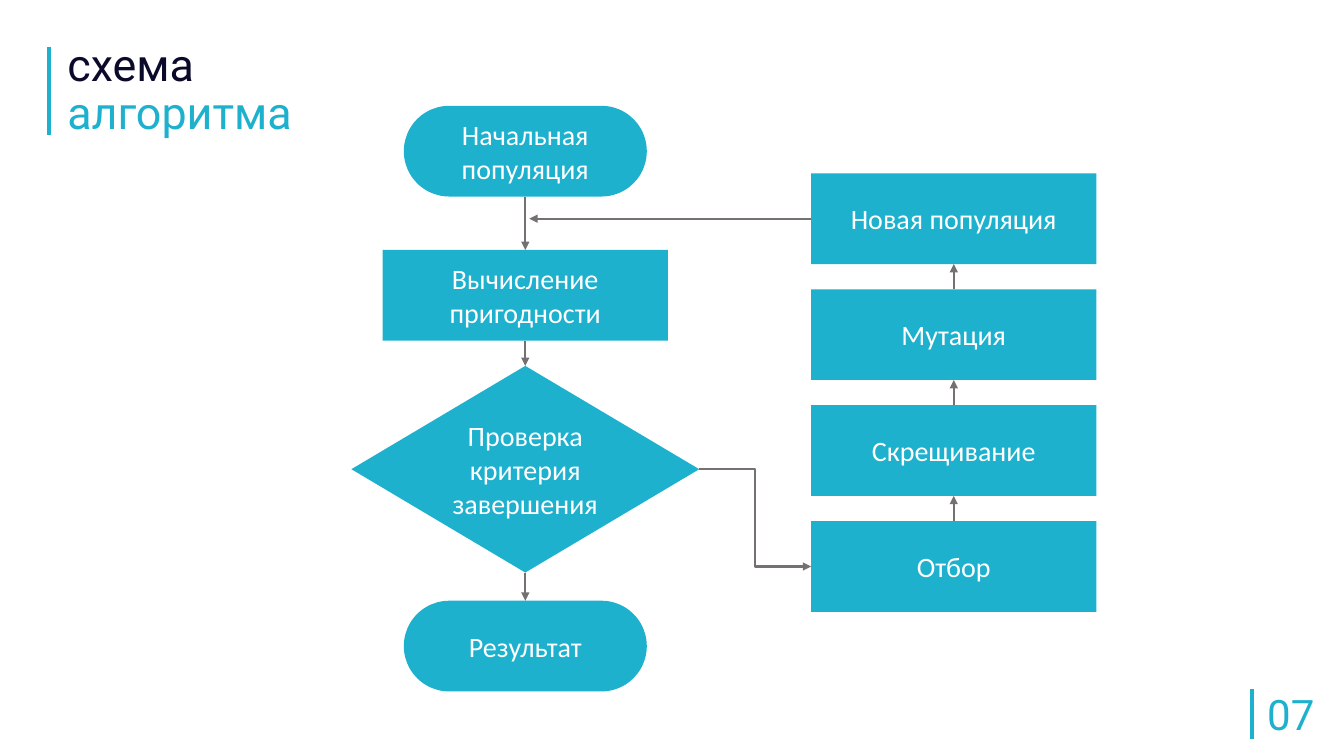
from lxml import etree
from pptx import Presentation, util as u
from pptx.dml.color import RGBColor
from pptx.enum import shapes, text
from pptx.oxml.ns import qn

TEAL = RGBColor(0x1D, 0xB1, 0xCE)
NAVY = RGBColor(0x0C, 0x0A, 0x2B)
GRAY = RGBColor(0x76, 0x71, 0x71)
WHITE = RGBColor(0xFF, 0xFF, 0xFF)

KIND = shapes.MSO_SHAPE
LINK = shapes.MSO_CONNECTOR
TOP, LEFT, BOTTOM, RIGHT = range(4)  # connection sites of a box


def write(box, words, font="Calibri", size=20, color=WHITE, spacing=1.0,
          align=text.PP_ALIGN.CENTER, anchor=text.MSO_ANCHOR.MIDDLE):
    frame = box.text_frame
    frame.word_wrap = True
    frame.vertical_anchor = anchor
    para = frame.paragraphs[0]
    para.alignment = align
    para.line_spacing = spacing
    span = para.add_run()
    span.text = words
    span.font.name = font
    span.font.size = u.Pt(size)
    span.font.color.rgb = color


def draw_line(start, end, color=GRAY, width=1.5, kind=LINK.STRAIGHT, arrow=True):
    """Each end is an (x, y) point in inches or a (box, site) pair."""
    line = page.shapes.add_connector(kind, 0, 0, 0, 0)
    if isinstance(start[0], (int, float)):
        line.begin_x, line.begin_y = map(u.Inches, start)
    else:
        line.begin_connect(*start)
    if isinstance(end[0], (int, float)):
        line.end_x, line.end_y = map(u.Inches, end)
    else:
        line.end_connect(*end)
    line.line.color.rgb = color
    line.line.width = u.Pt(width)
    if arrow:
        etree.SubElement(line.line._get_or_add_ln(), qn("a:tailEnd"), type="triangle")
    etree.SubElement(line._element.spPr, qn("a:effectLst"))


deck = Presentation()
deck.slide_width, deck.slide_height = u.Inches(13.33), u.Inches(7.5)
page = deck.slides.add_slide(deck.slide_layouts[6])

# Accent bars
for x, top, bottom, width in ((12.42, 6.84, 7.33, 2.5), (0.49, 0.47, 1.34, 3)):
    draw_line((x, top), (x, bottom), color=TEAL, width=width, arrow=False)

# Heading and page number
ABOVE, BELOW = text.MSO_ANCHOR.TOP, text.MSO_ANCHOR.BOTTOM
for words, place, size, color, spacing, anchor in (
    ("схема", (0.57, 0.31, 11.5, 0.64), 32, NAVY, 0.9, BELOW),
    ("алгоритма", (0.57, 0.85, 11.5, 0.64), 32, TEAL, 0.9, ABOVE),
    ("07", (12.47, 6.86, 0.68, 0.58), 30, TEAL, u.Pt(30), ABOVE),
):
    box = page.shapes.add_textbox(*map(u.Inches, place))
    write(box, words, font="Roboto", size=size, color=color, spacing=spacing,
          align=text.PP_ALIGN.LEFT, anchor=anchor)

# Flowchart boxes: two columns, each centred on its own axis
MAIN_AXIS, LOOP_AXIS = 5.21, 9.46
BOX_HEIGHT = 0.9
LOOP_TOP, LOOP_STEP = 1.72, 1.15
steps = [
    ("Начальная популяция", KIND.ROUNDED_RECTANGLE, MAIN_AXIS, 1.05, 2.41, BOX_HEIGHT),
    ("Вычисление пригодности", KIND.RECTANGLE, MAIN_AXIS, 2.48, 2.83, BOX_HEIGHT),
    ("Проверка критерия завершения", KIND.DIAMOND, MAIN_AXIS, 3.63, 3.45, 2.05),
    ("Результат", KIND.ROUNDED_RECTANGLE, MAIN_AXIS, 5.96, 2.41, BOX_HEIGHT),
]
for row, words in enumerate(("Новая популяция", "Мутация", "Скрещивание", "Отбор")):
    steps.append((words, KIND.RECTANGLE, LOOP_AXIS, LOOP_TOP + row * LOOP_STEP,
                  2.83, BOX_HEIGHT))

boxes = []
for words, kind, axis, top, width, height in steps:
    box = page.shapes.add_shape(
        kind, *map(u.Inches, (axis - width / 2, top, width, height)))
    if kind == KIND.ROUNDED_RECTANGLE:
        box.adjustments[0] = 0.5
    box.shadow.inherit = False
    box.fill.solid()
    box.fill.fore_color.rgb = TEAL
    box.line.fill.background()
    write(box, words)
    boxes.append(box)
main, loop = boxes[:4], boxes[4:]

# Arrows down the main column and up the loop column
for upper, lower in zip(main, main[1:]):
    draw_line((upper, BOTTOM), (lower, TOP))
for upper, lower in zip(loop, loop[1:]):
    draw_line((lower, TOP), (upper, BOTTOM))

# Arrows between the columns
draw_line((loop[0], LEFT), (MAIN_AXIS + 0.04, LOOP_TOP + BOX_HEIGHT / 2))
draw_line((main[2], RIGHT), (loop[-1], LEFT), kind=LINK.ELBOW)

deck.save("out.pptx")
